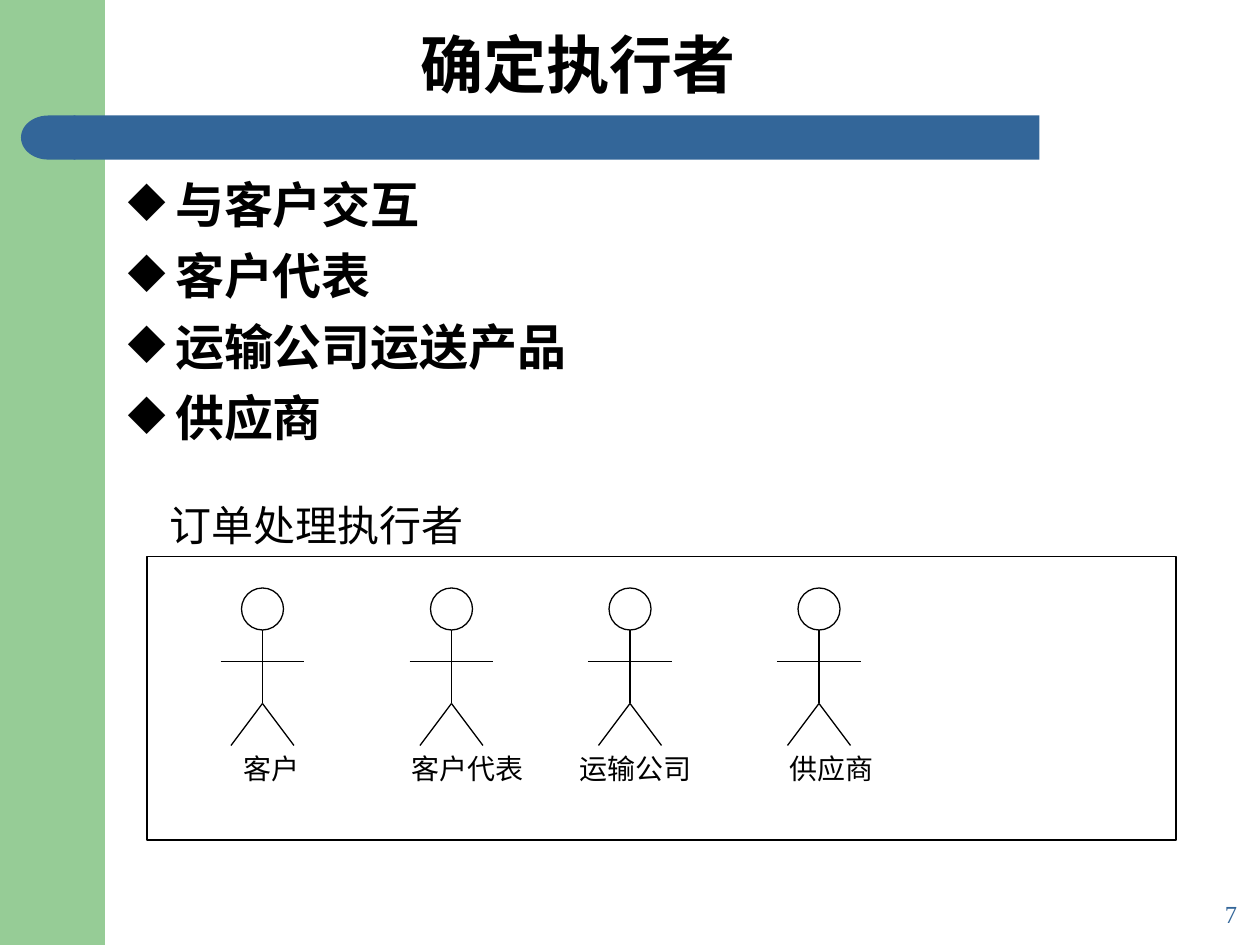
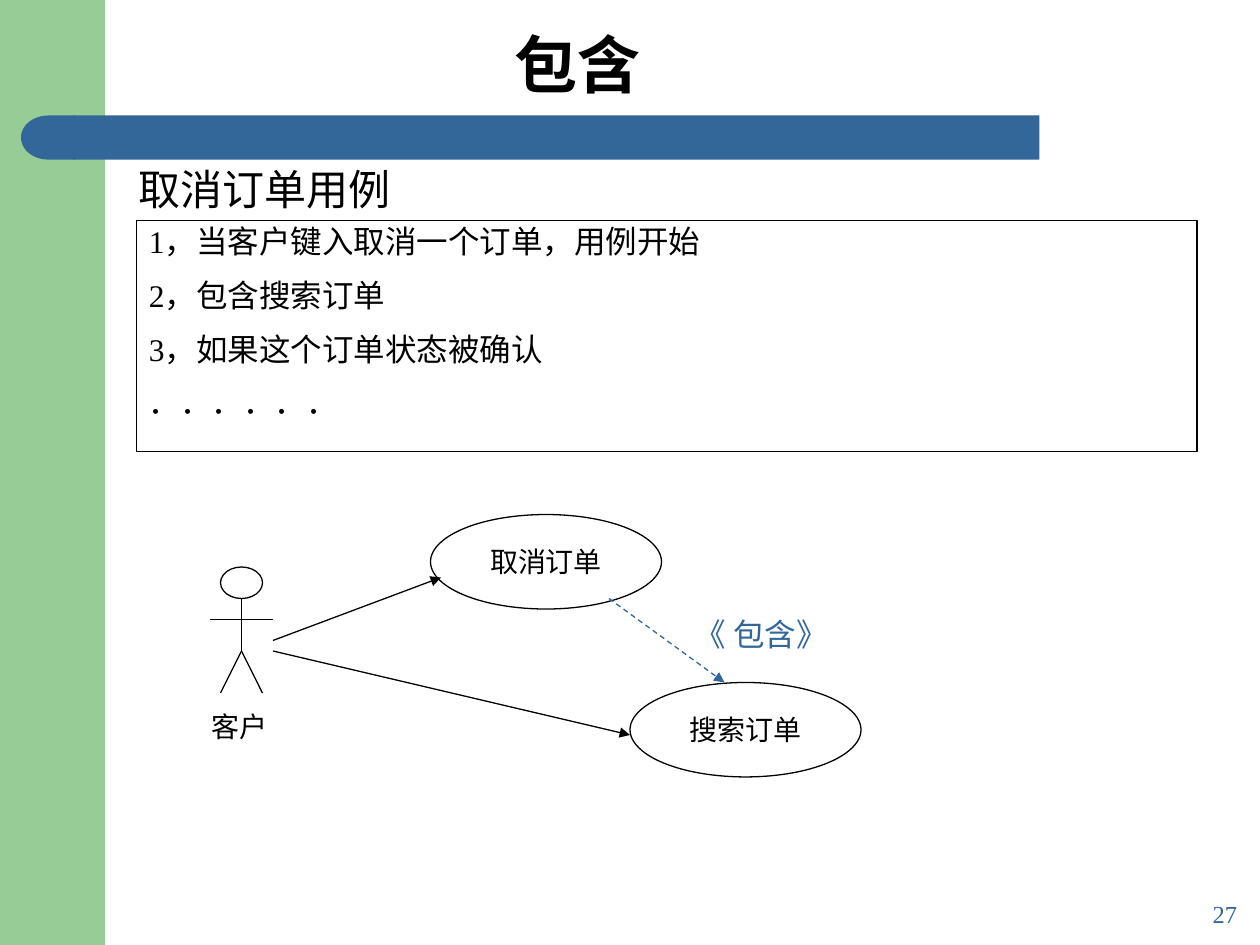
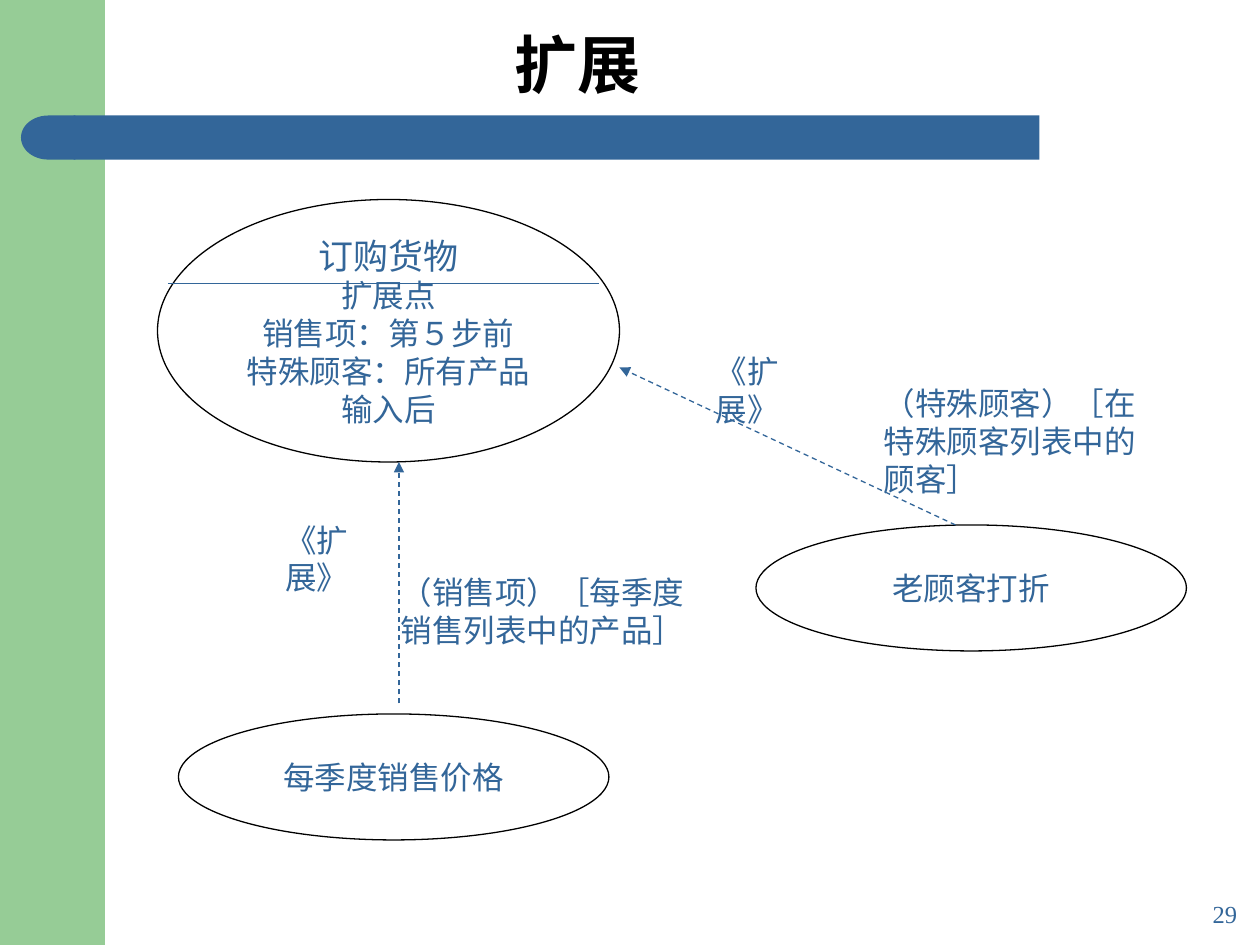
from collections import namedtuple

from lxml.etree import SubElement
from pptx import Presentation
from pptx.dml.color import RGBColor
from pptx.enum.dml import MSO_LINE
from pptx.enum.shapes import MSO_CONNECTOR, MSO_SHAPE
from pptx.enum.text import MSO_ANCHOR, PP_ALIGN
from pptx.oxml.ns import qn
from pptx.util import Pt

BLACK, BLUE, GREEN = "000000", "336699", "96CC96"
FONT = "Times New Roman"

TITLE = {"size": Pt(36), "bold": True}
BULLET = {"size": Pt(28), "bold": True}
CAPTION = {"size": Pt(24)}
HEADING = {"size": Pt(20)}
BODY = {"size": Pt(18)}
LABEL = {"size": Pt(16)}
PAGE_NUMBER = {"size": Pt(14)}
CENTRED = {"alignment": PP_ALIGN.CENTER}
RIGHT = {"alignment": PP_ALIGN.RIGHT}

Pose = namedtuple("Pose", "width head arms hip feet spread label")
TALL_POSE = Pose(width=48, head=24, arms=42, hip=66, feet=90, spread=18, label=90)
SHORT_POSE = Pose(width=36, head=18, arms=30, hip=48, feet=72, spread=12, label=78)
HEAD_WIDTH = 24


class Box(namedtuple("Box", "left top width height")):
    """A rectangle in points."""

    def inner(self, left, top, width, height):
        """Return a box measured from this box's corner."""
        return Box(self.left + left, self.top + top, width, height)

    def lengths(self):
        """Return the four sides as lengths."""
        return [Pt(side) for side in self]


def colour(hex_code):
    """Turn a hex string into a colour."""
    return RGBColor.from_string(hex_code)


def apply(target, values):
    """Set every format value on the target."""
    for name, value in values.items():
        setattr(target, name, value)


def write(frame, lines, ink, paragraph_format):
    """Fill a text frame with (text, font format) lines."""
    for index, (text, font_format) in enumerate(lines):
        paragraph = frame.add_paragraph() if index else frame.paragraphs[0]
        run = paragraph.add_run()
        run.text = text
        apply(run.font, {"name": FONT, **font_format})
        run.font.color.rgb = colour(ink)
        apply(paragraph, paragraph_format)
        if index == 0:
            paragraph.space_before = Pt(0)


def add_text(slide, box, lines, ink=BLACK, paragraph_format={}, anchor=MSO_ANCHOR.TOP):
    """Add a wrapping text box and return its frame."""
    frame = slide.shapes.add_textbox(*box.lengths()).text_frame
    apply(frame, {"word_wrap": True, "vertical_anchor": anchor})
    write(frame, lines, ink, paragraph_format)
    return frame


def add_band(slide, preset, box, fill):
    """Add a filled shape without an outline."""
    band = slide.shapes.add_shape(preset, *box.lengths())
    band.shadow.inherit = False
    band.fill.solid()
    band.fill.fore_color.rgb = colour(fill)
    band.line.fill.background()
    return band


def add_outline(slide, preset, box):
    """Add an unfilled shape with a thin black outline."""
    outline = slide.shapes.add_shape(preset, *box.lengths())
    outline.shadow.inherit = False
    outline.fill.background()
    outline.line.color.rgb = colour(BLACK)
    outline.line.width = Pt(0.75)
    return outline


def add_use_case(slide, box, lines, ink):
    """Add an ellipse that names a use case."""
    frame = add_outline(slide, MSO_SHAPE.OVAL, box).text_frame
    apply(frame, {"word_wrap": False, "vertical_anchor": MSO_ANCHOR.MIDDLE})
    write(frame, lines, ink, CENTRED)


def add_line(slide, box, start, end, ink=BLACK, dashed=False, arrow=False):
    """Join two points measured from the corner of the box."""
    ends = [Pt(value) for x, y in (start, end) for value in (box.left + x, box.top + y)]
    connector = slide.shapes.add_connector(MSO_CONNECTOR.STRAIGHT, *ends)
    connector.line.color.rgb = colour(ink)
    connector.line.width = Pt(0.75)
    if dashed:
        connector.line.dash_style = MSO_LINE.DASH
    if arrow:
        SubElement(connector.line._get_or_add_ln(), qn("a:tailEnd"), type="triangle")
    SubElement(connector._element.spPr, qn("a:effectLst"))


def add_actor(slide, box, pose, name, name_left, name_width):
    """Draw a stick figure with its name below."""
    middle = pose.width / 2
    head = box.inner(middle - HEAD_WIDTH / 2, 0, HEAD_WIDTH, pose.head)
    add_outline(slide, MSO_SHAPE.OVAL, head)
    hip = (middle, pose.hip)
    add_line(slide, box, (0, pose.arms), (pose.width, pose.arms))
    add_line(slide, box, (middle, pose.head), hip)
    for side in (-1, 1):
        add_line(slide, box, hip, (middle + side * pose.spread, pose.feet))
    add_text(slide, box.inner(name_left, pose.label, name_width, 26.6), [(name, LABEL)])


def add_frame(slide, box, title, page_number):
    """Draw the bands, title and page number shared by all slides."""
    add_band(slide, MSO_SHAPE.RECTANGLE, box.inner(0, 0, 60, box.height), GREEN)
    add_band(slide, MSO_SHAPE.RECTANGLE, box.inner(42, 66, 552, 25.2), BLUE)
    cap = add_band(slide, MSO_SHAPE.FLOWCHART_DELAY, box.inner(12, 66, 31, 25.2), BLUE)
    cap.rotation = 180
    add_text(slide, box.inner(66, 12, 528, 48), [(title, TITLE)],
             paragraph_format=CENTRED, anchor=MSO_ANCHOR.MIDDLE)
    add_text(slide, box.inner(594, 510, 120, 30), [(page_number, PAGE_NUMBER)], BLUE, RIGHT)


def add_bullets(slide, box, items):
    """List the items with diamond bullets."""
    frame = add_text(slide, box, [(item, BULLET) for item in items],
                     paragraph_format={"space_before": Pt(7)})
    for paragraph in frame.paragraphs:
        properties = paragraph._p.get_or_add_pPr()
        properties.set("marL", str(Pt(27)))
        properties.set("indent", str(Pt(-27)))
        bullet_colour = SubElement(properties, qn("a:buClr"))
        SubElement(bullet_colour, qn("a:srgbClr"), val=BLACK)
        SubElement(properties, qn("a:buChar"), char="◆")


def add_actor_panel(slide, box):
    """Draw the framed row of order-processing actors."""
    add_outline(slide, MSO_SHAPE.RECTANGLE, box)
    add_text(slide, box.inner(6, -36, 252, 36), [("订单处理执行者", CAPTION)])
    actors = [(42, "客户", 6, 54), (150, "客户代表", -6, 84),
              (252, "运输公司", -12, 84), (360, "供应商", 0, 72)]
    for left, *naming in actors:
        add_actor(slide, box.inner(left, 18, 48, 90), TALL_POSE, *naming)


def add_scenario(slide, box):
    """Draw the framed steps of the cancel-order use case."""
    frame = add_outline(slide, MSO_SHAPE.RECTANGLE, box).text_frame
    apply(frame, {"word_wrap": True, "vertical_anchor": MSO_ANCHOR.TOP})
    steps = ["1，当客户键入取消一个订单，用例开始", "2，包含搜索订单",
             "3，如果这个订单状态被确认", "．．．．．．"]
    write(frame, [(step, BODY) for step in steps], BLACK,
          {"alignment": PP_ALIGN.LEFT, "line_spacing": 0.9, "space_before": Pt(11.2)})
    add_text(slide, box.inner(-6, -36, 348, 36), [("取消订单用例", CAPTION)])


def add_include_diagram(slide, box):
    """Draw the customer and the including and included use cases."""
    add_actor(slide, box.inner(0, 30, 36, 72), SHORT_POSE, "客户", -6, 60)
    for left, top, name in [(126, 0, "取消订单"), (240, 96, "搜索订单")]:
        add_use_case(slide, box.inner(left, top, 132, 54), [(name, LABEL)], BLACK)
    for start, end in [((36, 72), (132, 36)), ((36, 78), (240, 126))]:
        add_line(slide, box, start, end, arrow=True)
    add_line(slide, box, (228, 48), (294, 96), BLUE, dashed=True, arrow=True)
    add_text(slide, box.inner(270, 54, 102, 29), [("《 包含》", BODY)], BLUE)


def add_extend_diagram(slide, box):
    """Draw the order use case and the two that extend it."""
    points = ["扩展点", "销售项：第５步前", "特殊顾客：所有产品", "输入后"]
    order = [("订购货物", HEADING)] + [(point, BODY) for point in points]
    add_use_case(slide, box.inner(0, 0, 264, 150), order, BLUE)
    add_line(slide, box, (6, 48), (252, 48), BLUE)
    for left, top, name in [(12, 294, "每季度销售价格"), (342, 186, "老顾客打折")]:
        add_use_case(slide, box.inner(left, top, 246, 72), [(name, BODY)], BLUE)
    for start, end in [((138, 288), (138, 150)), ((456, 186), (264, 96))]:
        add_line(slide, box, start, end, BLUE, dashed=True, arrow=True)
    notes = [((312, 83.5, 72, 50), "《扩展》"),
             ((408, 102, 174, 72), "（特殊顾客）［在特殊顾客列表中的顾客］"),
             ((66, 180, 72, 50), "《扩展》"),
             ((132, 210, 186, 50), "（销售项）［每季度销售列表中的产品］")]
    for place, note in notes:
        add_text(slide, box.inner(*place), [(note, BODY)], BLUE)


def actors_slide(slide, page):
    """Fill the slide that identifies the actors."""
    add_frame(slide, page, "确定执行者", "7")
    add_bullets(slide, page.inner(66, 96, 636, 168),
                ["与客户交互", "客户代表", "运输公司运送产品", "供应商"])
    add_actor_panel(slide, page.inner(84, 318, 588, 162))


def include_slide(slide, page):
    """Fill the slide about the include relation."""
    add_frame(slide, page, "包含", "27")
    add_scenario(slide, page.inner(78, 126, 606, 132))
    add_include_diagram(slide, page.inner(120, 294, 372, 150))


def extend_slide(slide, page):
    """Fill the slide about the extend relation."""
    add_frame(slide, page, "扩展", "29")
    add_extend_diagram(slide, page.inner(90, 114, 588, 366))


def main():
    """Build and save the presentation."""
    deck = Presentation()
    page = Box(0, 0, 720, 540)
    apply(deck, {"slide_width": Pt(page.width), "slide_height": Pt(page.height)})
    for fill_slide in (actors_slide, include_slide, extend_slide):
        fill_slide(deck.slides.add_slide(deck.slide_layouts[6]), page)
    deck.save("out.pptx")


if __name__ == "__main__":
    main()
